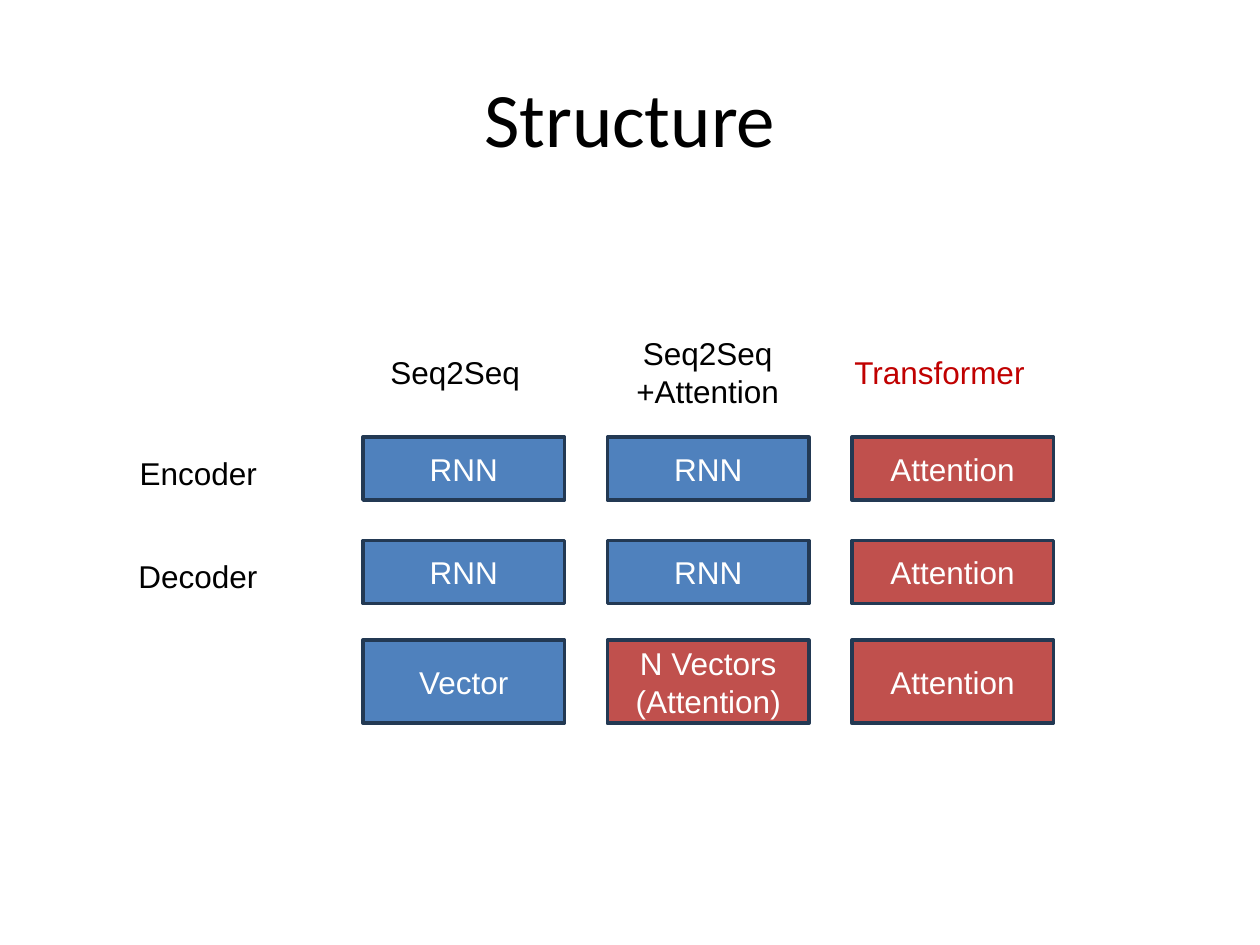
from dataclasses import dataclass

import pptx
import pptx.dml.color
import pptx.enum.shapes
import pptx.enum.text
import pptx.util

Pt = pptx.util.Pt
Align = pptx.enum.text.PP_ALIGN
Anchor = pptx.enum.text.MSO_ANCHOR


@dataclass(frozen=True)
class Theme:
    """Colours, fonts and type sizes of the deck."""
    blue: str = "4F81BD"
    red: str = "C0504D"
    accent: str = "C00000"
    outline: str = "233953"
    dark: str = "000000"
    light: str = "FFFFFF"
    title_font: str = "Calibri"
    body_font: str = "Arial"
    title_size: int = 44
    body_size: int = 18


THEME = Theme()
COLUMN_PITCH = 139.7
CELL_WIDTH = 115.2
ROWS = [(0, 36), (59.1, 36), (116, 47.5)]
COLUMNS = [
    [("RNN", THEME.blue), ("RNN", THEME.blue), ("Vector", THEME.blue)],
    [("RNN", THEME.blue), ("RNN", THEME.blue), ("N Vectors (Attention)", THEME.red)],
    [("Attention", THEME.red)] * 3,
]
HEADERS = [
    ("Seq2Seq", (8.6, 10.8, 90.7, 29), THEME.dark, Align.LEFT),
    ("Seq2Seq +Attention", (6.5, 0, 101.5, 51), THEME.dark, Align.CENTER),
    ("Transformer", (-5.7, 10.8, 126.7, 29), THEME.accent, Align.LEFT),
]
ROW_LABELS = [("Encoder", 0.7, 91.4), ("Decoder", 0, 92.9)]


def rgb(value):
    """Turn a hex string into a colour."""
    return pptx.dml.color.RGBColor.from_string(value)


def write(shape, text, color, align, size=THEME.body_size, font=THEME.body_font):
    """Set and format the text of a shape."""
    shape.text_frame.word_wrap = True
    para = shape.text_frame.paragraphs[0]
    para.text = text
    para.alignment = align
    span = para.runs[0]
    span.font.size = Pt(size)
    span.font.name = font
    span.font.color.rgb = rgb(color)


def add_label(page, box, text, color, align):
    """Place a plain text label in the given box."""
    label = page.shapes.add_textbox(*map(Pt, box))
    write(label, text, color, align)


def add_cell(page, box, text, fill):
    """Place one outlined cell in the given box."""
    cell = page.shapes.add_shape(
        pptx.enum.shapes.MSO_SHAPE.RECTANGLE, *map(Pt, box))
    cell.shadow.inherit = False
    cell.fill.solid()
    cell.fill.fore_color.rgb = rgb(fill)
    cell.line.color.rgb = rgb(THEME.outline)
    cell.line.width = Pt(2)
    cell.text_frame.vertical_anchor = Anchor.MIDDLE
    write(cell, text, THEME.light, Align.CENTER)


def place_title(page, box, text):
    """Place the slide title in the given box."""
    title = page.shapes.title
    title.left, title.top, title.width, title.height = map(Pt, box)
    title.text_frame.vertical_anchor = Anchor.MIDDLE
    write(title, text, THEME.dark, Align.CENTER, THEME.title_size, THEME.title_font)


def place_grid(page, left, top):
    """Place the cells of every model column."""
    for column, cells in enumerate(COLUMNS):
        for (offset, height), (text, fill) in zip(ROWS, cells):
            box = (left + column * COLUMN_PITCH, top + offset, CELL_WIDTH, height)
            add_cell(page, box, text, fill)


def place_headers(page, left, top):
    """Place the model names above their columns."""
    for column, (text, (dx, dy, width, height), color, align) in enumerate(HEADERS):
        box = (left + column * COLUMN_PITCH + dx, top + dy, width, height)
        add_label(page, box, text, color, align)


def place_row_labels(page, left, top):
    """Place the part names beside their rows."""
    for (offset, _), (text, dx, width) in zip(ROWS, ROW_LABELS):
        add_label(page, (left + dx, top + offset, width, 29), text, THEME.dark, Align.LEFT)


def main():
    """Build the deck and save it."""
    deck = pptx.Presentation()
    deck.slide_width, deck.slide_height = Pt(720), Pt(540)
    page = deck.slides.add_slide(deck.slide_layouts[5])
    place_title(page, (36, 21.6, 648, 90), "Structure")
    place_grid(page, 207.4, 249.8)
    place_headers(page, 207.4, 187.2)
    place_row_labels(page, 72, 255.6)
    deck.save("out.pptx")


if __name__ == "__main__":
    main()
